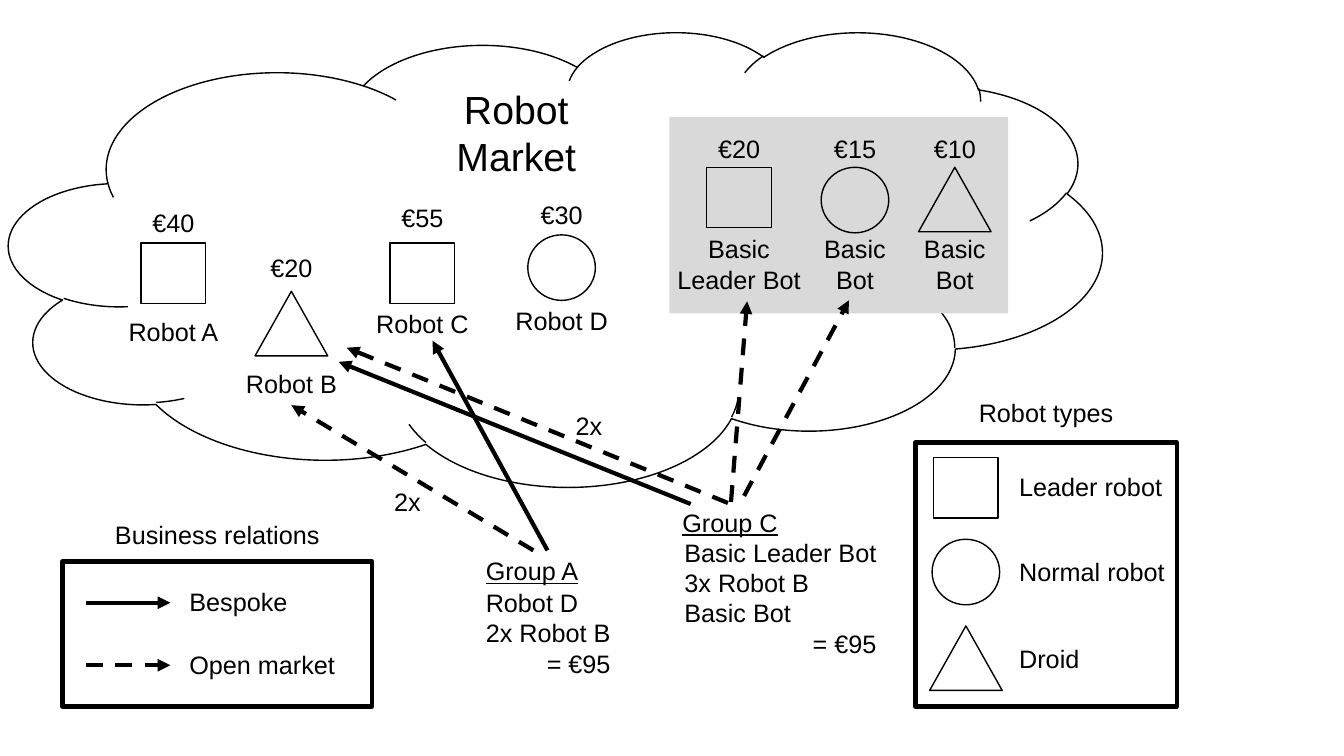
from lxml import etree
from pptx import Presentation
from pptx.dml.color import RGBColor
from pptx.enum.dml import MSO_LINE
from pptx.enum.shapes import MSO_CONNECTOR, MSO_SHAPE
from pptx.enum.text import MSO_ANCHOR, MSO_AUTO_SIZE, PP_ALIGN
from pptx.oxml.ns import qn
from pptx.util import Inches, Pt

RECT, OVAL = MSO_SHAPE.RECTANGLE, MSO_SHAPE.OVAL
TRIANGLE, CLOUD = MSO_SHAPE.ISOSCELES_TRIANGLE, MSO_SHAPE.CLOUD
STRAIGHT, DASH = MSO_CONNECTOR.STRAIGHT, MSO_LINE.DASH
LEFT, CENTER, RIGHT = PP_ALIGN.LEFT, PP_ALIGN.CENTER, PP_ALIGN.RIGHT
MIDDLE, FIT = MSO_ANCHOR.MIDDLE, MSO_AUTO_SIZE.SHAPE_TO_FIT_TEXT
BLACK, GREY = "000000", "D9D9D9"
LEADER, NORMAL, DROID = (RECT, 0.64, 0.6), (OVAL, 0.67, 0.65), (TRIANGLE, 0.72, 0.64)


def color(value):
    return RGBColor.from_string(value)


class Diagram:
    """Draws black Arial labels, outlines and arrows on one slide."""

    def __init__(self, prs):
        self.s = prs.slides.add_slide(prs.slide_layouts[5])
        self.font = "Arial"

    def style(self, p, size, align):
        p.alignment = align
        p.font.name, p.font.size = self.font, Pt(size)
        p.font.color.rgb = color(BLACK)

    def title(self, text, x, y, w, h, size=28):
        sp = self.s.shapes.title
        sp.left, sp.top, sp.width, sp.height = map(Inches, (x, y, w, h))
        tf = sp.text_frame
        tf.text, tf.word_wrap, tf.vertical_anchor = text, False, MIDDLE
        self.style(tf.paragraphs[0], size, CENTER)

    def shape(self, kind, x, y, w, h, line=1, fill=None):
        sp = self.s.shapes.add_shape(kind, *map(Inches, (x, y, w, h)))
        sp.shadow.inherit = False
        if fill:
            sp.fill.solid()
            sp.fill.fore_color.rgb = color(fill)
        else:
            sp.fill.background()
        if line:
            sp.line.color.rgb, sp.line.width = color(BLACK), Pt(line)
        else:
            sp.line.fill.background()
        return sp

    def text(self, text, x, y, w, align=LEFT, underline=None, total=None):
        lines = text.split("\n") + ([total] if total else [])
        sp = self.s.shapes.add_textbox(*map(Inches, (x, y, w, 0.1 + 0.3 * len(lines))))
        tf = sp.text_frame
        tf.text = "\n".join(lines)
        tf.word_wrap, tf.auto_size = False, FIT
        for p in tf.paragraphs:
            self.style(p, 18, align)
            p.font.underline = underline
        if total:
            tf.paragraphs[-1].alignment = RIGHT
        return sp

    def robot(self, kind, cx, y, price, price_y, name, name_y, name_w):
        preset, w, h = kind
        return [
            self.shape(preset, cx - w / 2, y, w, h),
            self.text(price, cx - 0.31, price_y, 0.62, CENTER),
            self.text(name, cx - name_w / 2, name_y, name_w, CENTER),
        ]

    def arrow(self, x1, y1, x2, y2, dashed=False):
        c = self.s.shapes.add_connector(STRAIGHT, *map(Inches, (x1, y1, x2, y2)))
        c.line.color.rgb, c.line.width = color(BLACK), Pt(3)
        if dashed:
            c.line.dash_style = DASH
        etree.SubElement(c.line._get_or_add_ln(), qn("a:tailEnd"), type="triangle")
        etree.SubElement(c._element.spPr, qn("a:effectLst"))

    def group(self, shapes):
        self.s.shapes.add_group_shape(shapes)


def main():
    prs = Presentation()
    prs.slide_width, prs.slide_height = Inches(13.33), Inches(7.5)
    d = Diagram(prs)

    d.shape(CLOUD, 0.09, 0.31, 10.84, 4.51)
    d.title("Robot Market", 3.87, 1, 2.5, 0.62)

    for kind, cx, y, price, price_y, name, name_y in (
        (LEADER, 1.72, 2.41, "€40", 2.01, "Robot A", 3.09),
        (DROID, 2.89, 2.89, "€20", 2.45, "Robot B", 3.61),
        (LEADER, 4.19, 2.41, "€55", 1.96, "Robot C", 3.01),
        (NORMAL, 5.57, 2.33, "€30", 1.93, "Robot D", 2.98),
    ):
        d.robot(kind, cx, y, price, price_y, name, name_y, 1.12)

    basics = [d.shape(RECT, 6.64, 1.16, 3.36, 1.95, line=None, fill=GREY)]
    for kind, cx, price, name, width in (
        (LEADER, 7.33, "€20", "Basic\nLeader Bot", 1.44),
        (NORMAL, 8.48, "€15", "Basic\nBot", 0.82),
        (DROID, 9.47, "€10", "Basic\nBot", 0.82),
    ):
        basics += d.robot(kind, cx, 1.66, price, 1.27, name, 2.27, width)
    d.group(basics)

    d.text("Group A", 4.72, 5.46, 1.13, underline=True)
    d.text("Robot D\n2x Robot B", 4.72, 5.78, 1.46, total="= €95")
    d.text("Group C", 6.67, 4.98, 1.16, underline=True)
    d.text("Basic Leader Bot\n3x Robot B\nBasic Bot", 6.69, 5.28, 2.14, total="= €95")

    for ends in (
        (5.29, 5.46, 2.89, 4.02),
        (7.22, 4.99, 3.44, 3.45),
        (7.25, 4.98, 7.41, 2.99),
        (7.38, 4.92, 8.42, 2.98),
    ):
        d.arrow(*ends, dashed=True)
    d.arrow(5.43, 5.46, 4.29, 3.38)
    d.arrow(6.85, 5, 3.36, 3.59)
    for x, y in ((3.81, 4.78), (5.61, 4.02)):
        d.text("2x", x, y, 0.47)

    d.text("Robot types", 9.6, 3.89, 1.55, CENTER)
    d.shape(RECT, 9.08, 4.39, 2.59, 2.62, line=3)
    for (preset, w, h), y, name, name_y, name_w in (
        (LEADER, 4.54, "Leader robot", 4.63, 1.63),
        (NORMAL, 5.35, "Normal robot", 5.47, 1.66),
        (DROID, 6.21, "Droid", 6.33, 0.81),
    ):
        d.shape(preset, 9.58 - w / 2, y, w, h)
        d.text(name, 10.01, name_y, name_w)

    d.text("Business relations", 1.03, 5.1, 2.25, CENTER)
    d.shape(RECT, 0.62, 5.57, 3.07, 1.44, line=3)
    for name, y, width, dashed in (
        ("Bespoke", 5.98, 1.18, False),
        ("Open market", 6.6, 1.66, True),
    ):
        d.arrow(0.85, y, 1.69, y, dashed)
        d.text(name, 1.78, y - 0.21, width)

    prs.save("out.pptx")


if __name__ == "__main__":
    main()
